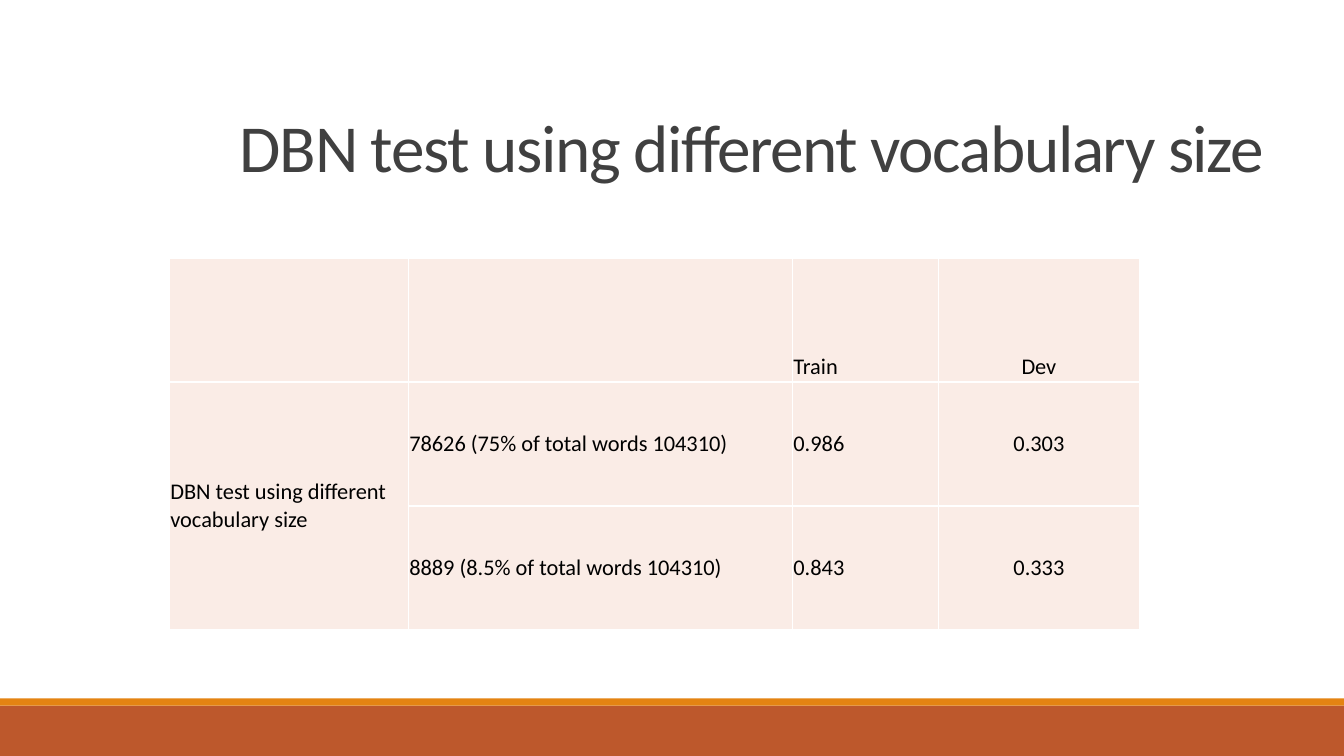
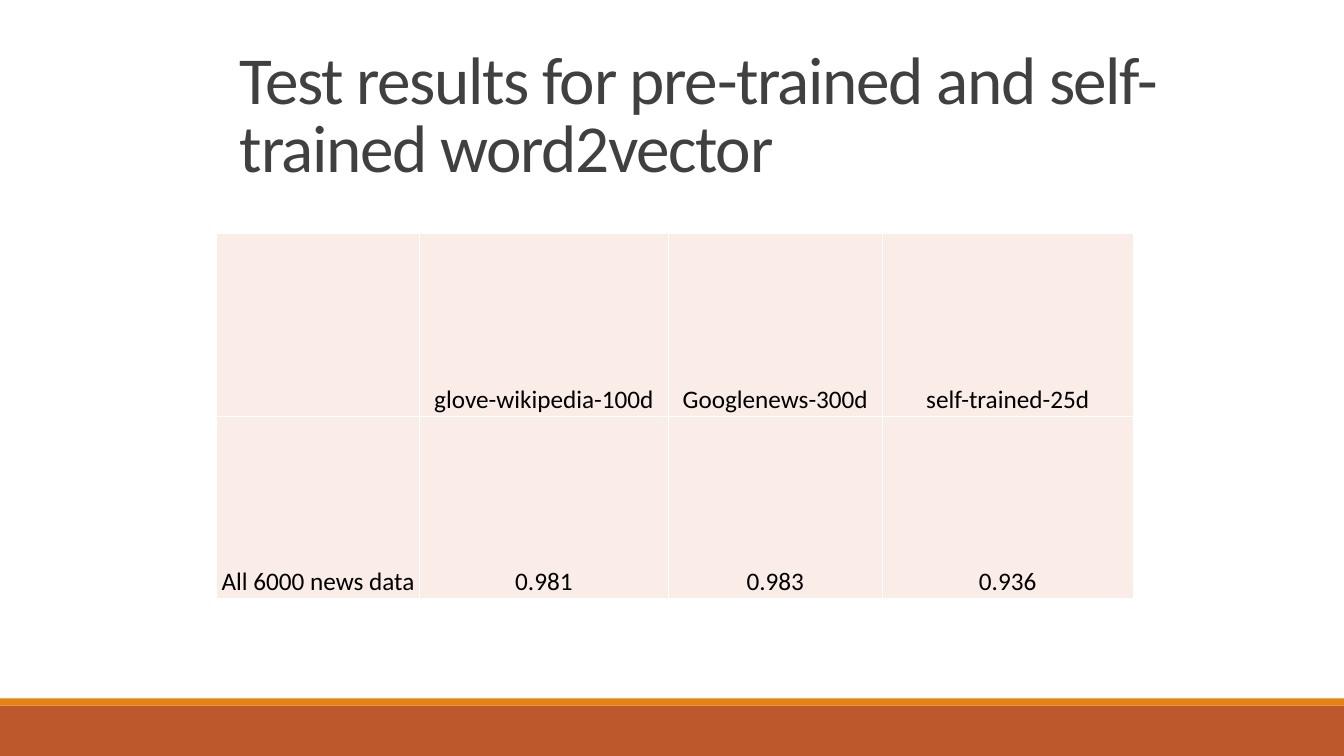
from lxml import etree
from pptx import Presentation
from pptx.dml.color import RGBColor
from pptx.enum.shapes import MSO_SHAPE
from pptx.enum.text import MSO_ANCHOR, PP_ALIGN
from pptx.oxml.ns import qn
from pptx.util import Inches, Pt

RECT = MSO_SHAPE.RECTANGLE
MIDDLE, BOTTOM = MSO_ANCHOR.MIDDLE, MSO_ANCHOR.BOTTOM
LEFT, CENTER = PP_ALIGN.LEFT, PP_ALIGN.CENTER

FONT = "Calibri"
RUST = RGBColor(0xBD, 0x58, 0x2C)
ORANGE = RGBColor(0xE4, 0x83, 0x12)
BLUSH = RGBColor(0xFA, 0xEC, 0xE6)
GRAY = RGBColor(0x40, 0x40, 0x40)
BLACK = RGBColor(0, 0, 0)
WHITE = RGBColor(0xFF, 0xFF, 0xFF)

BANDS = [(7, 0.5, RUST), (6.93, 0.07, ORANGE)]

SLIDES = [
    {
        "title": "DBN test using different vocabulary size",
        "left": 1.68, "top": 2.56, "size": 16,
        "cols": [2.37, 3.81, 1.45, 1.99], "height": 1.23,
        "aligns": [LEFT, LEFT, LEFT, CENTER],
        "anchors": [BOTTOM, MIDDLE, MIDDLE],
        "merge": [(1, 0), (2, 0)],
        "rows": [
            ["", "", "Train", "Dev"],
            ["DBN test using different vocabulary size",
             "78626 (75% of total words 104310)", "0.986", "0.303"],
            ["", "8889 (8.5% of total words 104310)", "0.843", "0.333"],
        ],
    },
    {
        "title": "Test results for pre-trained and self-trained word2vector",
        "left": 2.15, "top": 2.32, "size": 18,
        "cols": [2.01, 2.47, 2.12, 2.49], "height": 1.81,
        "aligns": [CENTER] * 4,
        "anchors": [BOTTOM, BOTTOM],
        "merge": None,
        "rows": [
            ["", "glove-wikipedia-100d", "Googlenews-300d", "self-trained-25d"],
            ["All 6000 news data", "0.981", "0.983", "0.936"],
        ],
    },
]


def add_run(para, text, size, color):
    run = para.add_run()
    run.text = text
    run.font.name = FONT
    run.font.size = Pt(size)
    run.font.color.rgb = color
    return run


def style_cell(cell):
    """Give a cell thin white borders, the table fill and tight margins."""
    props = cell._tc.get_or_add_tcPr()
    for side in ("a:lnL", "a:lnR", "a:lnT", "a:lnB"):
        line = etree.SubElement(props, qn(side), w=str(Pt(1)))
        fill = etree.SubElement(line, qn("a:solidFill"))
        etree.SubElement(fill, qn("a:srgbClr"), val=str(WHITE))
    cell.fill.solid()
    cell.fill.fore_color.rgb = BLUSH
    cell.margin_left = cell.margin_right = Inches(0.01)
    cell.margin_top = cell.margin_bottom = Inches(0.01)


prs = Presentation()
prs.slide_width, prs.slide_height = Inches(13.33), Inches(7.5)
blank = prs.slide_layouts[6]

for data in SLIDES:
    slide = prs.slides.add_slide(blank)

    for top, height, color in BANDS:
        band = slide.shapes.add_shape(
            RECT, 0, Inches(top), prs.slide_width, Inches(height))
        band.shadow.inherit = False
        band.fill.solid()
        band.fill.fore_color.rgb = color
        band.line.fill.background()

    box = slide.shapes.add_textbox(
        Inches(2.33), Inches(0.31), Inches(10.95), Inches(1.59))
    frame = box.text_frame
    frame.word_wrap = True
    frame.vertical_anchor = BOTTOM
    frame.margin_left = frame.margin_right = Inches(0.05)
    frame.margin_top = frame.margin_bottom = Inches(0.05)
    para = frame.paragraphs[0]
    para.line_spacing = 0.85
    run = add_run(para, data["title"], 48, GRAY)
    run.font._element.set("spc", "-100")

    rows, cols = data["rows"], data["cols"]
    table = slide.shapes.add_table(
        len(rows), len(cols), Inches(data["left"]), Inches(data["top"]),
        Inches(sum(cols)), Inches(data["height"] * len(rows))).table
    table.first_row = table.horz_banding = False
    for col, width in zip(table.columns, cols):
        col.width = Inches(width)
    for r, texts in enumerate(rows):
        table.rows[r].height = Inches(data["height"])
        for c, text in enumerate(texts):
            cell = table.cell(r, c)
            style_cell(cell)
            cell.vertical_anchor = data["anchors"][r]
            if text:
                para = cell.text_frame.paragraphs[0]
                para.alignment = data["aligns"][c]
                add_run(para, text, data["size"], BLACK)
    if data["merge"]:
        first, last = data["merge"]
        table.cell(*first).merge(table.cell(*last))

prs.save("out.pptx")
